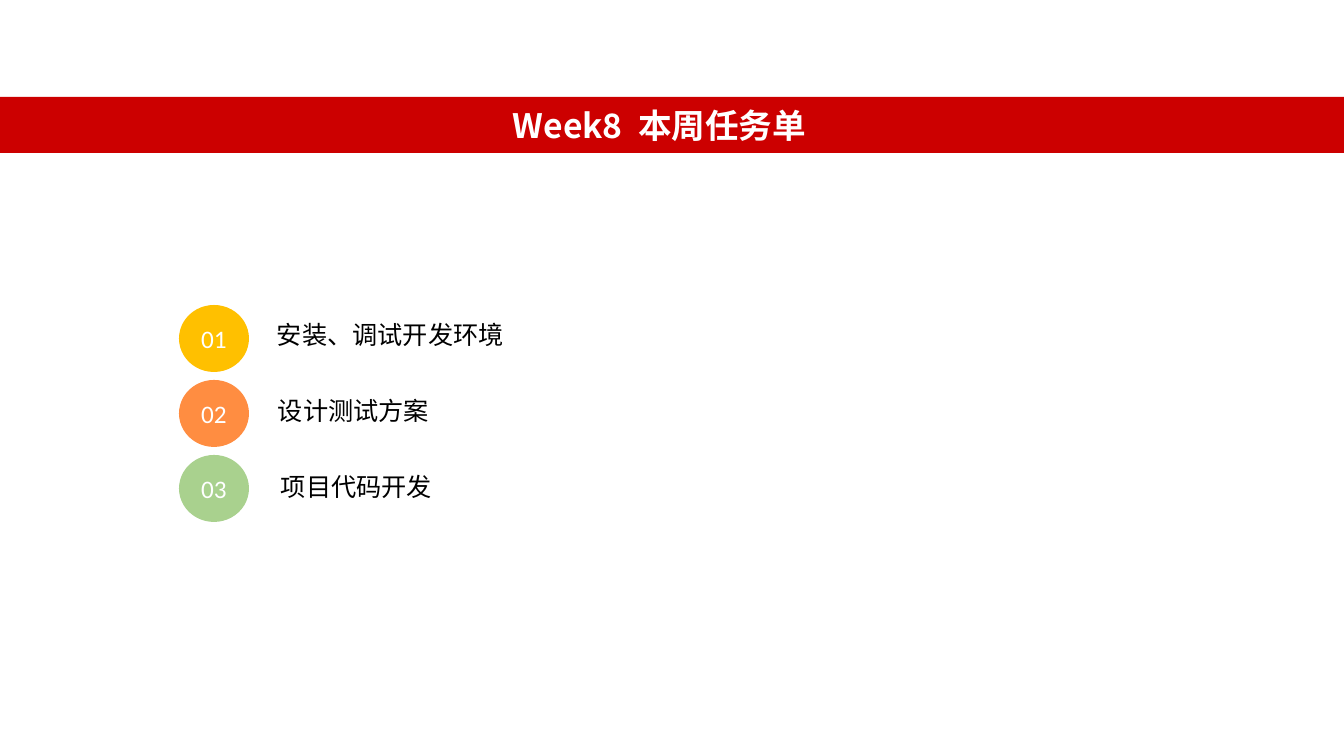
from lxml import etree
from pptx import Presentation
from pptx import util as u
from pptx.dml.color import RGBColor
from pptx.enum import shapes, text
from pptx.oxml.ns import qn

RED = RGBColor(0xCC, 0x00, 0x00)
AMBER = RGBColor(0xFF, 0xC0, 0x00)
ORANGE = RGBColor(0xFF, 0x8D, 0x41)
GREEN = RGBColor(0xA9, 0xD1, 0x8E)
WHITE = RGBColor(0xFF, 0xFF, 0xFF)
BLACK = RGBColor(0x00, 0x00, 0x00)
CJK = "Noto Sans CJK SC"

TITLE = "Week8  本周任务单"
TASKS = [
    ("安装、调试开发环境", AMBER, "Arial", 267, 1029),
    ("设计测试方案", ORANGE, "Arial", 268, 765),
    ("项目代码开发", GREEN, CJK, 271, 882),
]
BADGE_TOP, BADGE_PITCH = 305, 75
LABEL_TOP, LABEL_PITCH = 314, 76


def px(n):
    return u.Emu(round(n * 12192000 / 1344))


def add_block(s, kind, x, y, w, h, color):
    sp = s.shapes.add_shape(kind, px(x), px(y), px(w), px(h))
    sp.shadow.inherit = False
    sp.fill.solid()
    sp.fill.fore_color.rgb = color
    sp.line.fill.background()
    return sp


def add_label(s, x, y, w, h, wrap=True):
    sp = s.shapes.add_textbox(px(x), px(y), px(w), px(h))
    sp.text_frame.word_wrap = wrap
    sp.text_frame.auto_size = text.MSO_AUTO_SIZE.SHAPE_TO_FIT_TEXT
    return sp


def write(sp, words, size, font, color, align=text.PP_ALIGN.LEFT, bold=False):
    p = sp.text_frame.paragraphs[0]
    r = p.add_run()
    r.text = words
    p.alignment = align
    p.font.size = u.Pt(size)
    p.font.name = font
    p.font.color.rgb = color
    p.font.bold = bold
    ea = etree.SubElement(r._r.get_or_add_rPr(), qn("a:ea"))
    ea.set("typeface", CJK)


def main():
    prs = Presentation()
    prs.slide_width, prs.slide_height = px(1344), px(756)
    s = prs.slides.add_slide(prs.slide_layouts[6])

    add_block(s, shapes.MSO_SHAPE.RECTANGLE, 0, 97, 1344, 56, RED)
    title = add_label(s, 496, 100, 327, 50, wrap=False)
    write(title, TITLE, 24, CJK, WHITE, text.PP_ALIGN.CENTER, bold=True)

    for i, (task, color, font, x, w) in enumerate(TASKS):
        badge = add_block(s, shapes.MSO_SHAPE.OVAL, 179, BADGE_TOP + i * BADGE_PITCH, 70, 67, color)
        tf = badge.text_frame
        tf.margin_left = tf.margin_right = tf.margin_top = tf.margin_bottom = 0
        tf.vertical_anchor = text.MSO_ANCHOR.MIDDLE
        write(badge, f"{i + 1:02}", 18, "Calibri", WHITE, text.PP_ALIGN.CENTER)
        label = add_label(s, x, LABEL_TOP + i * LABEL_PITCH, w, 40)
        write(label, task, 18, font, BLACK)

    prs.save("out.pptx")


if __name__ == "__main__":
    main()
